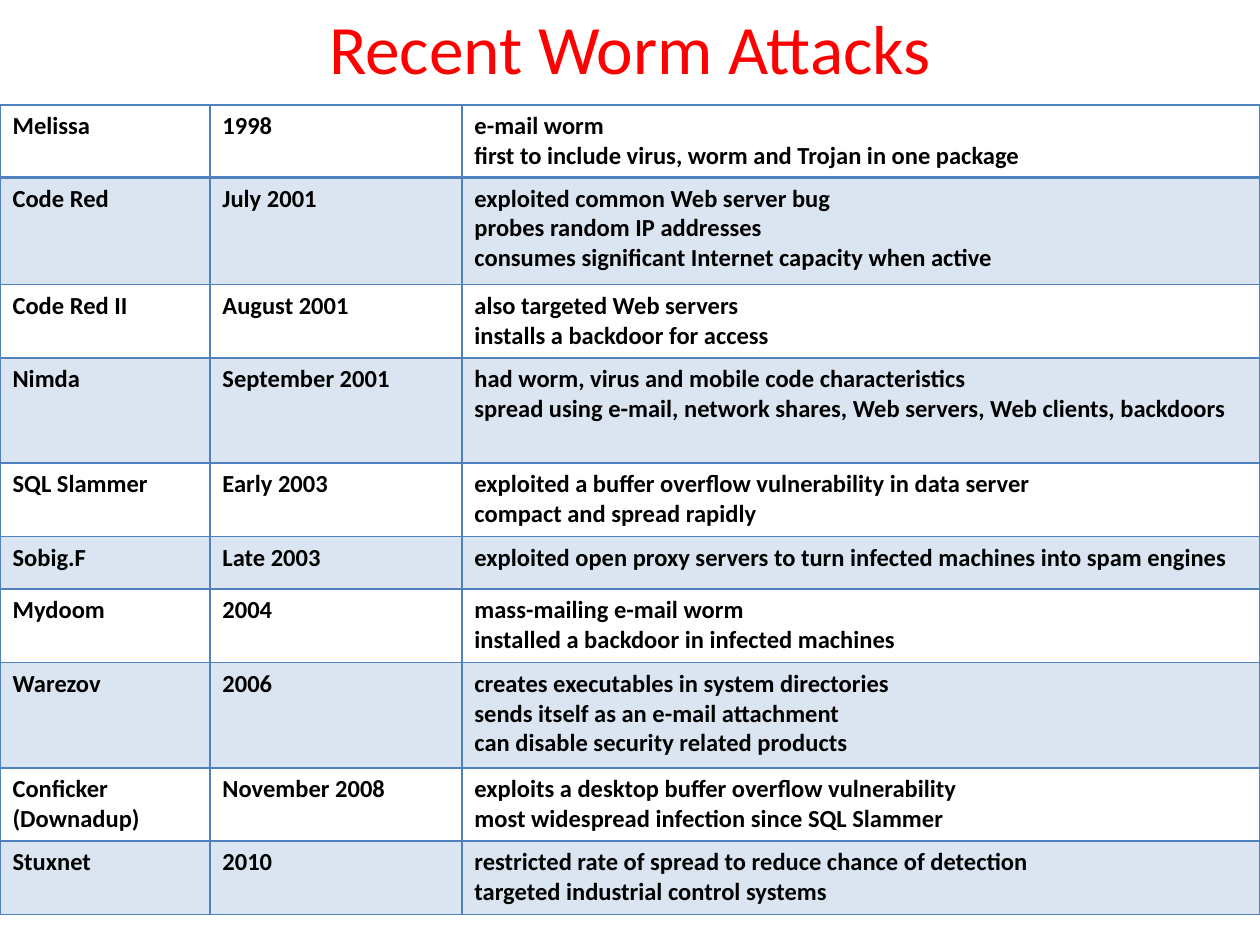
from lxml import etree
from pptx import Presentation
from pptx import util as u
from pptx.dml import color
from pptx.enum import text
from pptx.oxml import ns

WORMS = [
    ("Melissa", "1998", 1.27,
     ["e-mail worm", "first to include virus, worm and Trojan in one package"]),
    ("Code Red", "July 2001", 2.16,
     ["exploited common Web server bug", "probes random IP addresses",
      "consumes significant Internet capacity when active"]),
    ("Code Red II", "August 2001", 1.48,
     ["also targeted Web servers", "installs a backdoor for access"]),
    ("Nimda", "September 2001", 2.12,
     ["had worm, virus and mobile code characteristics",
      "spread using e-mail, network shares, Web servers, Web clients, backdoors"]),
    ("SQL Slammer", "Early 2003", 1.48,
     ["exploited a buffer overflow vulnerability in data server",
      "compact and spread rapidly"]),
    ("Sobig.F", "Late 2003", 1.06,
     ["exploited open proxy servers to turn infected machines into spam engines"]),
    ("Mydoom", "2004", 1.48,
     ["mass-mailing e-mail worm", "installed a backdoor in infected machines"]),
    ("Warezov", "2006", 2.12,
     ["creates executables in system directories",
      "sends itself as an e-mail attachment",
      "can disable security related products"]),
    ("Conficker (Downadup)", "November 2008", 1.48,
     ["exploits a desktop buffer overflow vulnerability",
      "most widespread infection since SQL Slammer"]),
    ("Stuxnet", "2010", 1.48,
     ["restricted rate of spread to reduce chance of detection",
      "targeted industrial control systems"]),
]


def rgb(value):
    return color.RGBColor.from_string(value)


def write(frame, lines, size=14, ink="000000", bold=False, align=text.PP_ALIGN.LEFT):
    for index, line in enumerate(lines):
        paragraph = frame.add_paragraph() if index else frame.paragraphs[0]
        paragraph.text = line
        paragraph.alignment = align
        font = paragraph.font
        font.name, font.size, font.bold = "Calibri", u.Pt(size), bold
        font.color.rgb = rgb(ink)


class WormSlide:
    heading = "FF0000"
    accent = "4F81BD"
    band_opacity = 20

    def __init__(self, deck):
        self.slide = deck.slides.add_slide(deck.slide_layouts[5])

    def title(self, wording, width, height):
        title = self.slide.shapes.title
        title.left, title.top, title.width, title.height = 0, 0, u.Cm(width), u.Cm(height)
        frame = title.text_frame
        frame.auto_size = text.MSO_AUTO_SIZE.NONE
        frame.vertical_anchor = text.MSO_ANCHOR.MIDDLE
        write(frame, [wording], size=39.6, ink=self.heading, align=text.PP_ALIGN.CENTER)

    def table(self, worms, top, widths):
        height = sum(worm[2] for worm in worms)
        table = self.slide.shapes.add_table(
            len(worms), len(widths), 0, u.Cm(top), u.Cm(sum(widths)), u.Cm(height)).table
        table.first_row = table.horz_banding = False
        for column, width in zip(table.columns, widths):
            column.width = u.Cm(width)
        for index, (name, date, row_height, effects) in enumerate(worms):
            row = table.rows[index]
            row.height = u.Cm(row_height)
            for cell, lines in zip(row.cells, ([name], [date], effects)):
                write(cell.text_frame, lines, bold=True)
                self.shade(cell, index % 2 == 1)
                self.border(cell, {"L": 1, "R": 1, "T": 2 if index == 1 else 1,
                                   "B": 2 if index == 0 else 1})

    def shade(self, cell, banded):
        if not banded:
            cell.fill.background()
            return
        cell.fill.solid()
        cell.fill.fore_color.rgb = rgb(self.accent)
        tint = cell._tc.tcPr.find(".//" + ns.qn("a:srgbClr"))
        etree.SubElement(tint, ns.qn("a:alpha"), val=str(self.band_opacity * 1000))

    def border(self, cell, widths):
        properties = cell._tc.get_or_add_tcPr()
        for position, (side, width) in enumerate(widths.items()):
            line = etree.Element(ns.qn("a:ln" + side), w=str(u.Pt(width)))
            fill = etree.SubElement(line, ns.qn("a:solidFill"))
            etree.SubElement(fill, ns.qn("a:srgbClr"), val=self.accent)
            properties.insert(position, line)


def main():
    deck = Presentation()
    deck.slide_width, deck.slide_height = u.Cm(25.4), u.Cm(19.05)
    page = WormSlide(deck)
    page.title("Recent Worm Attacks", 25.4, 1.9)
    page.table(WORMS, 2.12, [4.23, 5.08, 16.09])
    deck.save("out.pptx")


if __name__ == "__main__":
    main()
